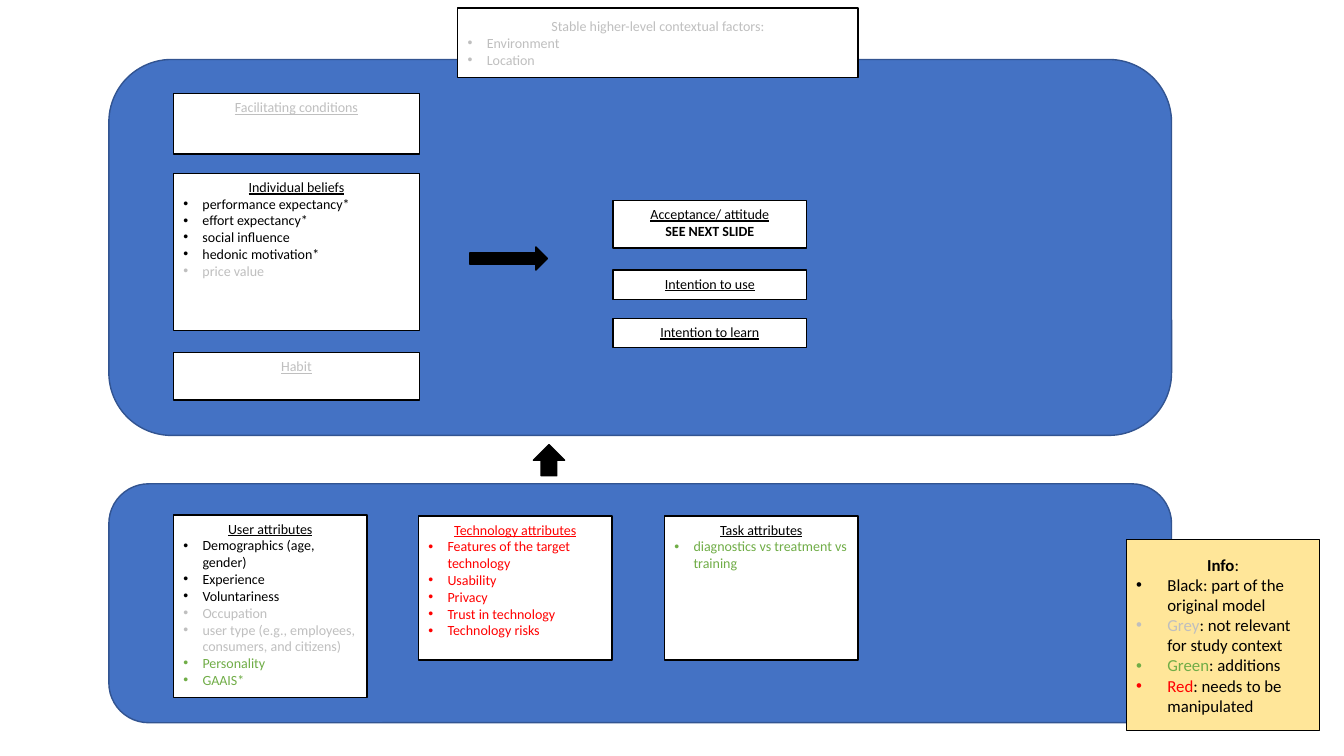
from dataclasses import dataclass

from lxml import etree
from pptx import Presentation
from pptx.dml.color import RGBColor
from pptx.enum.shapes import MSO_SHAPE as SHAPE
from pptx.enum.text import MSO_ANCHOR as ANCHOR, PP_ALIGN as ALIGN
from pptx.oxml.ns import qn
from pptx.util import Inches, Pt


@dataclass(frozen=True)
class Theme:
    font: str = "Calibri"
    body: int = 10
    legend: int = 12
    black: str = "000000"
    white: str = "FFFFFF"
    grey: str = "BFBFBF"
    green: str = "70AD47"
    red: str = "FF0000"
    panel: str = "4472C4"
    panel_line: str = "325491"
    note: str = "FFE699"


T = Theme()


def add_block(s, kind, box, fill, line=T.black):
    sp = s.shapes.add_shape(kind, *map(Inches, box))
    sp.shadow.inherit = False
    sp.fill.solid()
    sp.fill.fore_color.rgb = RGBColor.from_string(fill)
    sp.line.color.rgb = RGBColor.from_string(line)
    sp.line.width = Pt(1)
    return sp


def set_bullet(p, indent):
    pPr = p._p.get_or_add_pPr()
    pPr.set("marL", str(Inches(indent)))
    pPr.set("indent", str(-Inches(indent)))
    etree.SubElement(pPr, qn("a:buFont")).set("typeface", "Arial")
    etree.SubElement(pPr, qn("a:buChar")).set("char", "•")


def add_run(p, text, color, size, bold=False, underline=False):
    r = p.add_run()
    r.text = text
    r.font.name = T.font
    r.font.size = Pt(size)
    r.font.color.rgb = RGBColor.from_string(color)
    r.font.bold = bold
    r.font.underline = underline


def add_card(s, box, title, color=T.black, items=(), underline=True,
             anchor=ANCHOR.TOP):
    """White box with a centred title and bulleted (text, colour) items."""
    sp = add_block(s, SHAPE.RECTANGLE, box, T.white)
    tf = sp.text_frame
    tf.word_wrap = True
    tf.vertical_anchor = anchor
    p = tf.paragraphs[0]
    p.alignment = ALIGN.CENTER
    add_run(p, title, color, T.body, underline=underline)
    for text, item_color in items:
        p = tf.add_paragraph()
        p.alignment = ALIGN.LEFT
        set_bullet(p, 0.19)
        add_run(p, text, item_color, T.body)
    return tf


def add_legend(s, box, entries):
    tf = add_block(s, SHAPE.RECTANGLE, box, T.note).text_frame
    tf.word_wrap = True
    tf.vertical_anchor = ANCHOR.MIDDLE
    p = tf.paragraphs[0]
    p.alignment = ALIGN.CENTER
    add_run(p, "Info", T.black, T.legend, bold=True)
    add_run(p, ":", T.black, T.legend)
    for name, color, meaning in entries:
        p = tf.add_paragraph()
        p.alignment = ALIGN.LEFT
        set_bullet(p, 0.31)
        add_run(p, name, color, T.legend)
        add_run(p, f": {meaning}", T.black, T.legend)


def colored(color, *texts):
    return [(text, color) for text in texts]


def main():
    prs = Presentation()
    prs.slide_width, prs.slide_height = Inches(13.33), Inches(7.5)
    s = prs.slides.add_slide(prs.slide_layouts[6])

    # Background panels
    for top, height in ((0.59, 3.73), (4.8, 2.37)):
        add_block(s, SHAPE.ROUNDED_RECTANGLE, (1.08, top, 10.54, height),
                  T.panel, T.panel_line)

    # Context factors
    add_card(s, (4.54, 0.08, 3.97, 0.69),
             "Stable higher-level contextual factors:", T.grey,
             colored(T.grey, "Environment", "Location"),
             underline=False, anchor=ANCHOR.MIDDLE)

    # Predictors
    left, width = 1.72, 2.44
    add_card(s, (left, 0.93, width, 0.6), "Facilitating conditions", T.grey)
    add_card(s, (left, 1.72, width, 1.56), "Individual beliefs", T.black,
             colored(T.black, "performance expectancy*", "effort expectancy*",
                     "social influence", "hedonic motivation*")
             + colored(T.grey, "price value"))
    add_card(s, (left, 3.5, width, 0.47), "Habit", T.grey)

    # Outcomes
    left, width = 6.08, 1.92
    tf = add_card(s, (left, 1.99, width, 0.47), "Acceptance/ attitude")
    p = tf.add_paragraph()
    p.alignment = ALIGN.CENTER
    add_run(p, "SEE NEXT SLIDE", T.black, T.body, bold=True)
    add_card(s, (left, 2.68, width, 0.29), "Intention to use")
    add_card(s, (left, 3.16, width, 0.29), "Intention to learn")

    # Attributes
    add_card(s, (1.72, 5.11, width, 1.81), "User attributes", T.black,
             colored(T.black, "Demographics (age, gender)", "Experience",
                     "Voluntariness")
             + colored(T.grey, "Occupation",
                       "user type (e.g., employees, consumers, and citizens)")
             + colored(T.green, "Personality", "GAAIS*"))
    add_card(s, (4.15, 5.12, width, 1.43), "Technology attributes", T.red,
             colored(T.red, "Features of the target technology", "Usability",
                     "Privacy", "Trust in technology", "Technology risks"))
    add_card(s, (6.59, 5.12, width, 1.43), "Task attributes", T.black,
             colored(T.green, "diagnostics vs treatment vs training"))

    # Arrows
    add_block(s, SHAPE.RIGHT_ARROW, (4.66, 2.45, 0.77, 0.23), T.black)
    up = add_block(s, SHAPE.RIGHT_ARROW, (5.29, 4.41, 0.31, 0.31), T.black)
    up.rotation = 270

    # Legend
    add_legend(s, (11.17, 5.35, 1.92, 1.9), (
        ("Black", T.black, "part of the original model"),
        ("Grey", T.grey, "not relevant for study context"),
        ("Green", T.green, "additions"),
        ("Red", T.red, "needs to be manipulated"),
    ))

    prs.save("out.pptx")


if __name__ == "__main__":
    main()
